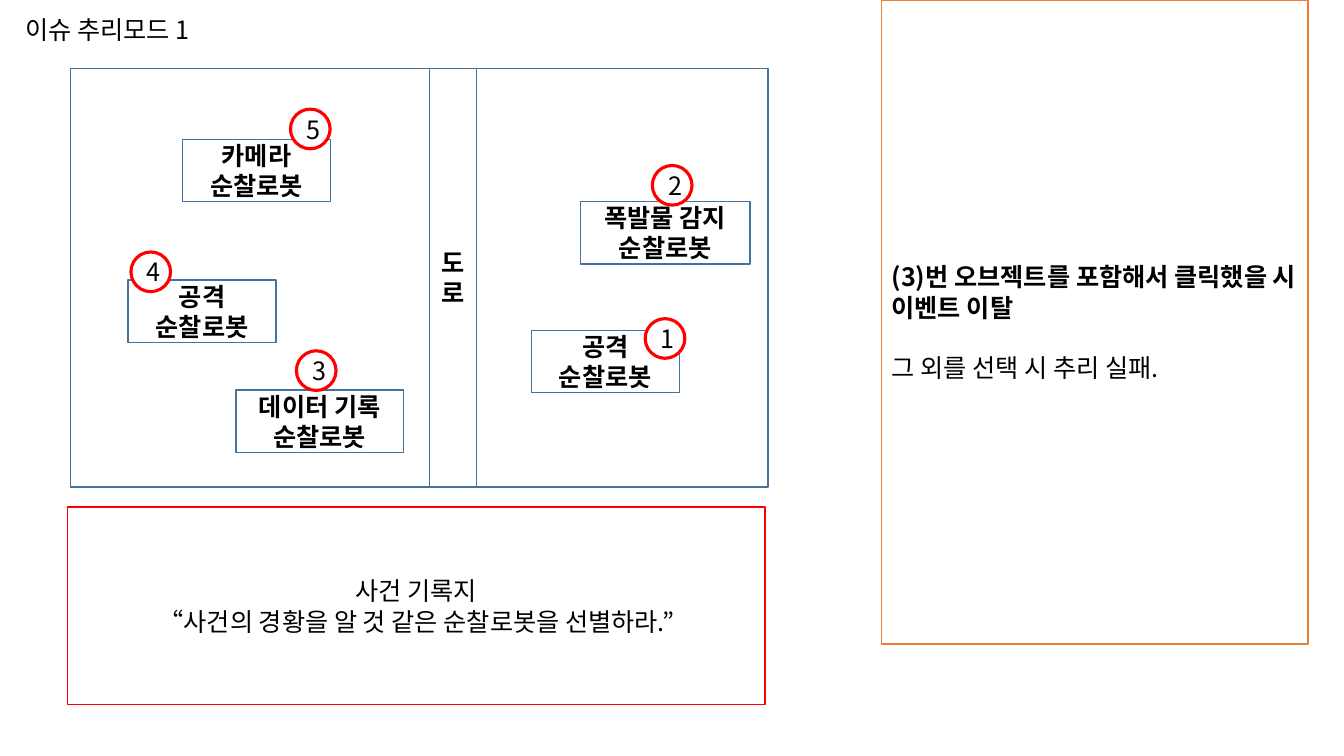
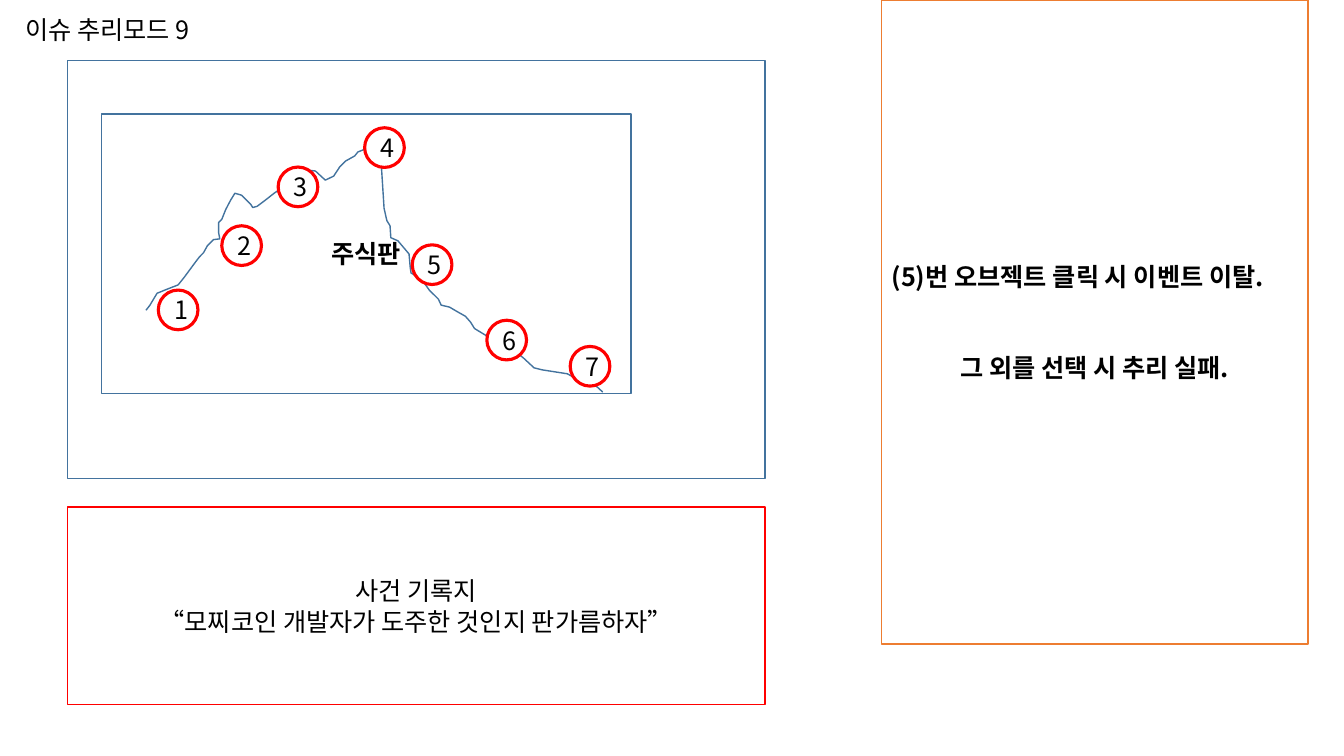
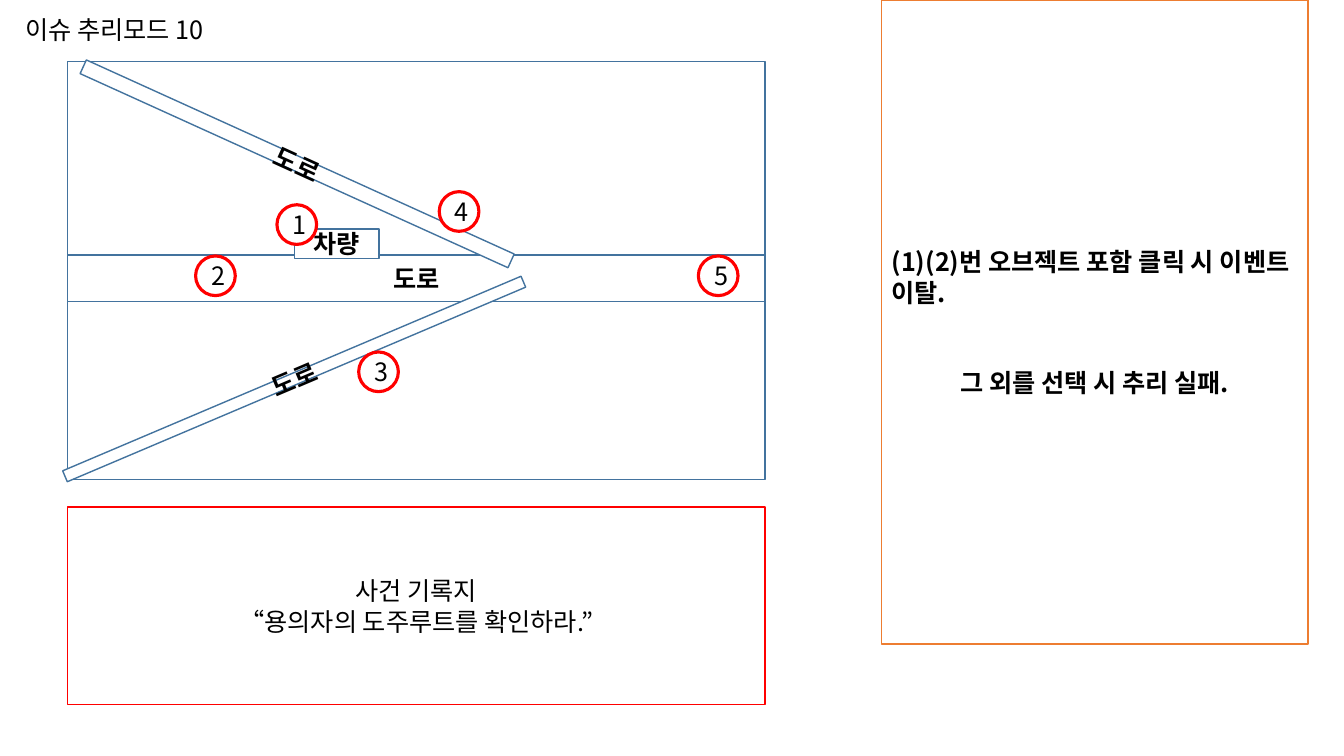
from pptx import Presentation
from pptx.util import Cm, Pt
from pptx.dml.color import RGBColor
from pptx.enum.shapes import MSO_SHAPE as Form
from pptx.enum.text import PP_ALIGN as Align, MSO_ANCHOR as Anchor
from pptx.enum.text import MSO_AUTO_SIZE as Auto
from pptx.oxml.ns import qn
from lxml.etree import SubElement

# Shared style
FONT, SIZE = "Noto Sans CJK KR", Pt(18)
BLUE, RED, AMBER = "43739E", "FF0000", "ED7D31"
WHITE, BLACK = "FFFFFF", "000000"
MID, LEFT = Align.CENTER, Align.LEFT

# Shared regions: left, top, width, height in cm
TITLE = (0.38, 0.23, 8.2, 1.02)
RULE = (22.22, 0, 10.74, 16.23)
NOTE = (1.7, 12.78, 17.58, 4.98)
WIDE, HIGH = 17.58, 10.54
RING = 1.0


def color(code):
    return RGBColor.from_string(code)


def write(frame, lines, bold=False, align=MID):
    frame.text = "\n".join(lines)
    for para in frame.paragraphs:
        para.alignment = align
        for run in para.runs:
            font = run.font
            font.name, font.size, font.bold = FONT, SIZE, bold
            font.color.rgb = color(BLACK)
            SubElement(font._element, qn("a:ea")).set("typeface", FONT)


def edge(shape, code, width=1):
    shape.shadow.inherit = False
    shape.line.color.rgb = color(code)
    shape.line.width = Pt(width)


def block(slide, box, lines=(), code=BLUE, form=Form.RECTANGLE,
          width=1, bold=True, align=MID):
    shape = slide.shapes.add_shape(form, *map(Cm, box))
    shape.fill.solid()
    shape.fill.fore_color.rgb = color(WHITE)
    edge(shape, code, width)
    shape.text_frame.vertical_anchor = Anchor.MIDDLE
    if lines:
        write(shape.text_frame, lines, bold, align)
    return shape


def title(slide, box, text):
    head = slide.shapes.title
    head.left, head.top, head.width, head.height = map(Cm, box)
    frame = head.text_frame
    frame.auto_size, frame.vertical_anchor = Auto.NONE, Anchor.TOP
    write(frame, [text], align=LEFT)


def rules(slide, box, lines, gap, bold, align):
    # The last paragraph stands apart, with its own weight and alignment
    panel = block(slide, box, lines, AMBER, align=LEFT)
    last = panel.text_frame.paragraphs[-1]
    last.space_before, last.alignment = Pt(gap), align
    for run in last.runs:
        run.font.bold = bold


def page(deck, number, goal, quote, gap=43, bold=True, align=MID):
    slide = deck.slides.add_slide(deck.slide_layouts[5])
    title(slide, TITLE, f"이슈 추리모드 {number}")
    rules(slide, RULE, [goal, "그 외를 선택 시 추리 실패."], gap, bold, align)
    block(slide, NOTE, ["사건 기록지", f"“{quote}”"], RED, bold=False)
    return slide


def rings(slide, x, y, spots):
    for number, (dx, dy) in enumerate(spots, 1):
        block(slide, (x + dx, y + dy, RING, RING), [str(number)], RED,
              Form.OVAL, 2.25, False)


def robots(slide, x, y):
    block(slide, (x, y, WIDE, HIGH))
    for kind, dx, dy, wide in ROBOTS:
        block(slide, (x + dx, y + dy, wide, 1.57), [kind, "순찰로봇"])
    block(slide, (x + 9.04, y, 1.19, HIGH), ["도로"])
    rings(slide, x, y, [(14.48, 6.3), (14.66, 2.44), (5.69, 7.11),
                        (1.52, 4.62), (5.54, 1.02)])


def stocks(slide, x, y):
    block(slide, (x, y, WIDE, HIGH))
    block(slide, (x + 0.86, y + 1.35, 13.34, 7.04), ["주식판"])
    # Price curve
    start, *rest = [(Cm(x + dx), Cm(y + dy)) for dx, dy in PRICE]
    pen = slide.shapes.build_freeform(*start)
    pen.add_line_segments(rest, close=False)
    curve = pen.convert_to_shape()
    curve.fill.background()
    edge(curve, BLUE)
    rings(slide, x, y, [(2.29, 5.79), (3.89, 4.17), (5.31, 2.69),
                        (7.49, 1.7), (8.69, 4.65), (10.57, 6.55),
                        (12.67, 7.21)])


def roads(slide, x, y):
    block(slide, (x, y, WIDE, HIGH))
    for dx, dy, wide, high, turn in ROADS:
        road = block(slide, (x + dx, y + dy, wide, high), ["도로"])
        road.rotation = turn
    block(slide, (x + 5.72, y + 4.22, 2.13, 0.74), ["차량"])
    rings(slide, x, y, [(5.28, 3.61), (3.23, 4.9), (7.34, 7.32),
                        (9.37, 3.28), (15.9, 4.9)])


# Offsets from the board corner, in cm
ROBOTS = [("폭발물 감지", 12.85, 3.35, 4.27), ("카메라", 2.82, 1.78, 3.73),
          ("공격", 1.45, 5.33, 3.73), ("공격", 11.61, 6.6, 3.73),
          ("데이터 기록", 4.17, 8.1, 4.22)]
ROADS = [(0, 4.88, WIDE, 1.17, 0), (-0.13, 2.39, 11.84, 0.38, 24.4),
         (-0.56, 7.85, 12.55, 0.3, 337)]
PRICE = [
    (1.98, 6.3), (2.08, 6.17), (2.26, 5.87), (2.51, 5.77), (2.79, 5.66),
    (2.95, 5.46), (3.23, 5.08), (3.33, 4.95), (3.43, 4.85), (3.53, 4.67),
    (3.68, 4.52), (3.84, 4.5), (3.81, 4.34), (3.81, 4.09), (3.89, 4.01),
    (3.99, 3.76), (4.11, 3.53), (4.22, 3.35), (4.39, 3.4), (4.62, 3.63),
    (4.67, 3.71), (4.78, 3.68), (4.98, 3.53), (5.21, 3.35), (5.36, 3.25),
    (5.51, 3.02), (5.66, 2.84), (5.79, 2.74), (6.25, 2.79), (6.5, 3.02),
    (6.71, 2.92), (6.86, 2.69), (7.01, 2.54), (7.24, 2.41), (7.32, 2.31),
    (7.57, 2.21), (7.87, 2.11), (7.92, 2.77), (7.98, 3.73), (8.05, 4.04),
    (8.13, 4.17), (8.15, 4.47), (8.33, 4.55), (8.61, 4.88), (8.64, 5.23),
    (8.66, 5.36), (8.92, 5.51), (9.12, 5.79), (9.35, 6.02), (9.42, 6.17),
    (9.63, 6.22), (9.8, 6.32), (10.03, 6.45), (10.16, 6.6), (10.26, 6.76),
    (10.54, 6.93), (10.77, 7.14), (11.02, 7.21), (11.28, 7.34),
    (11.48, 7.49), (11.76, 7.75), (11.96, 7.8), (12.6, 7.9),
    (12.83, 8.03), (13.11, 8.05), (13.26, 8.15), (13.49, 8.36)]

deck = Presentation()
deck.slide_width, deck.slide_height = Cm(33.87), Cm(19.05)

# Patrol robots
robots(page(deck, 1, "(3)번 오브젝트를 포함해서 클릭했을 시 이벤트 이탈",
            "사건의 경황을 알 것 같은 순찰로봇을 선별하라.", 21.5, False, LEFT),
       1.78, 1.73)
# Stock board
stocks(page(deck, 9, "(5)번 오브젝트 클릭 시 이벤트 이탈.",
            "모찌코인 개발자가 도주한 것인지 판가름하자"), 1.7, 1.52)
# Escape roads
roads(page(deck, 10, "(1)(2)번 오브젝트 포함 클릭 시 이벤트 이탈.",
           "용의자의 도주루트를 확인하라."), 1.7, 1.55)

deck.save("out.pptx")
